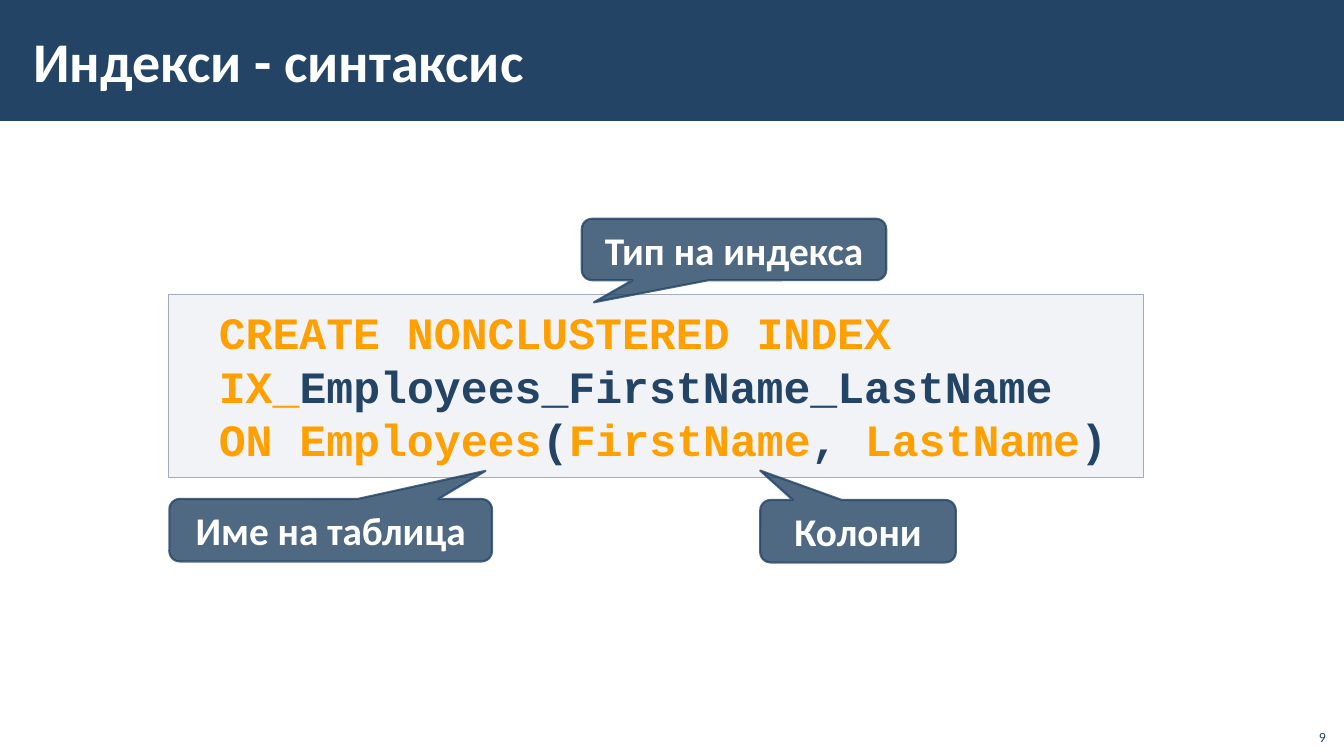
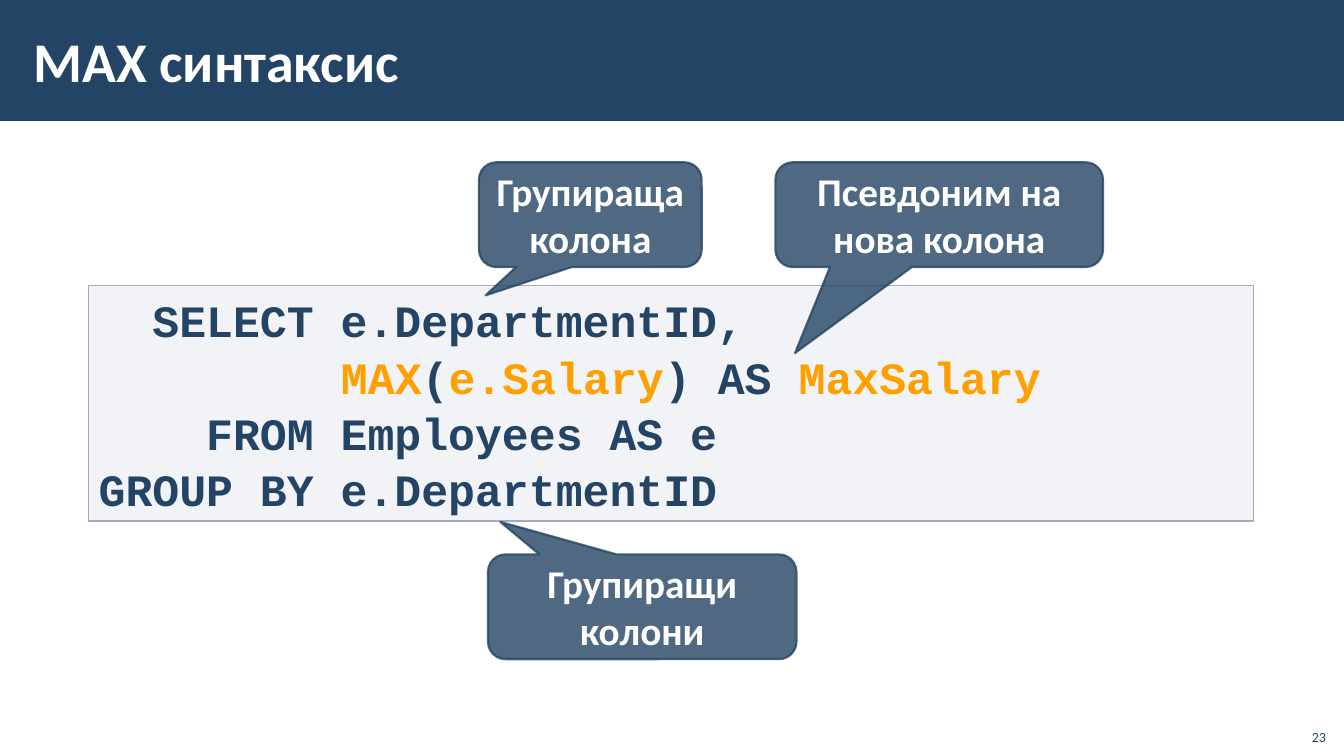
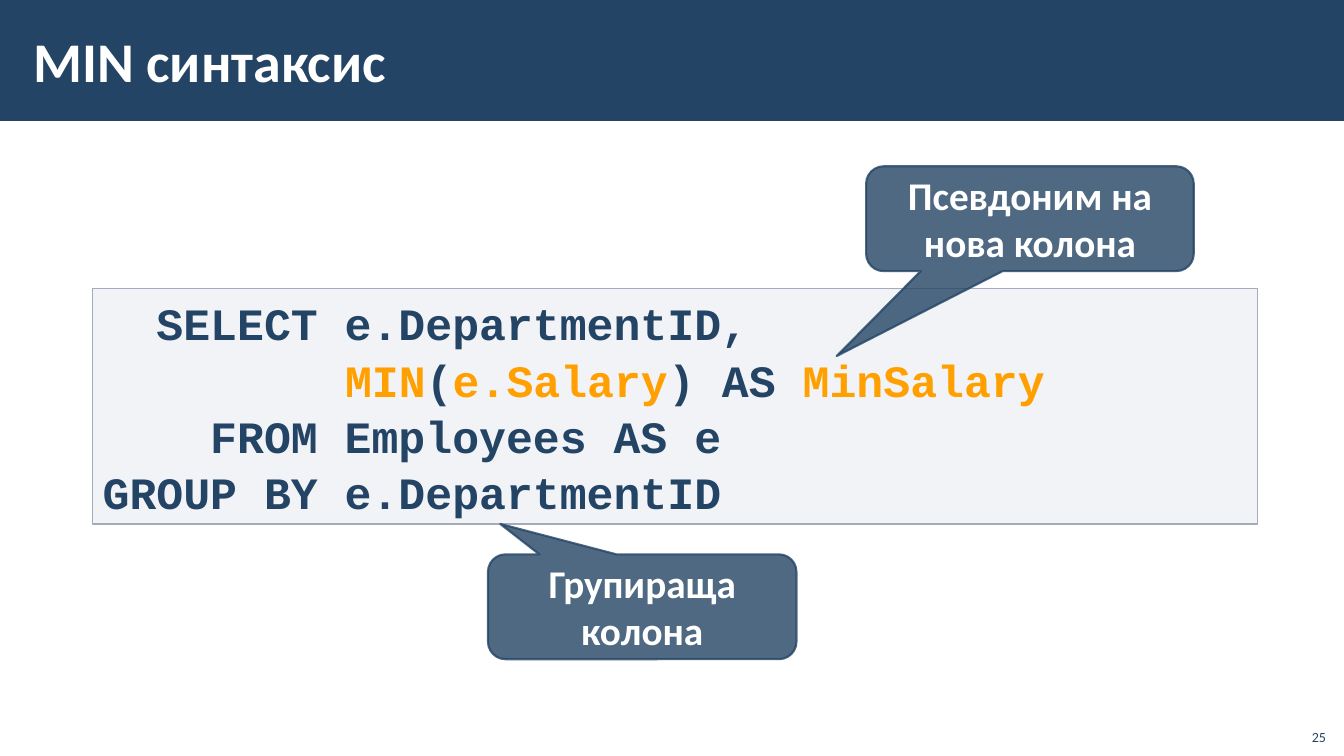
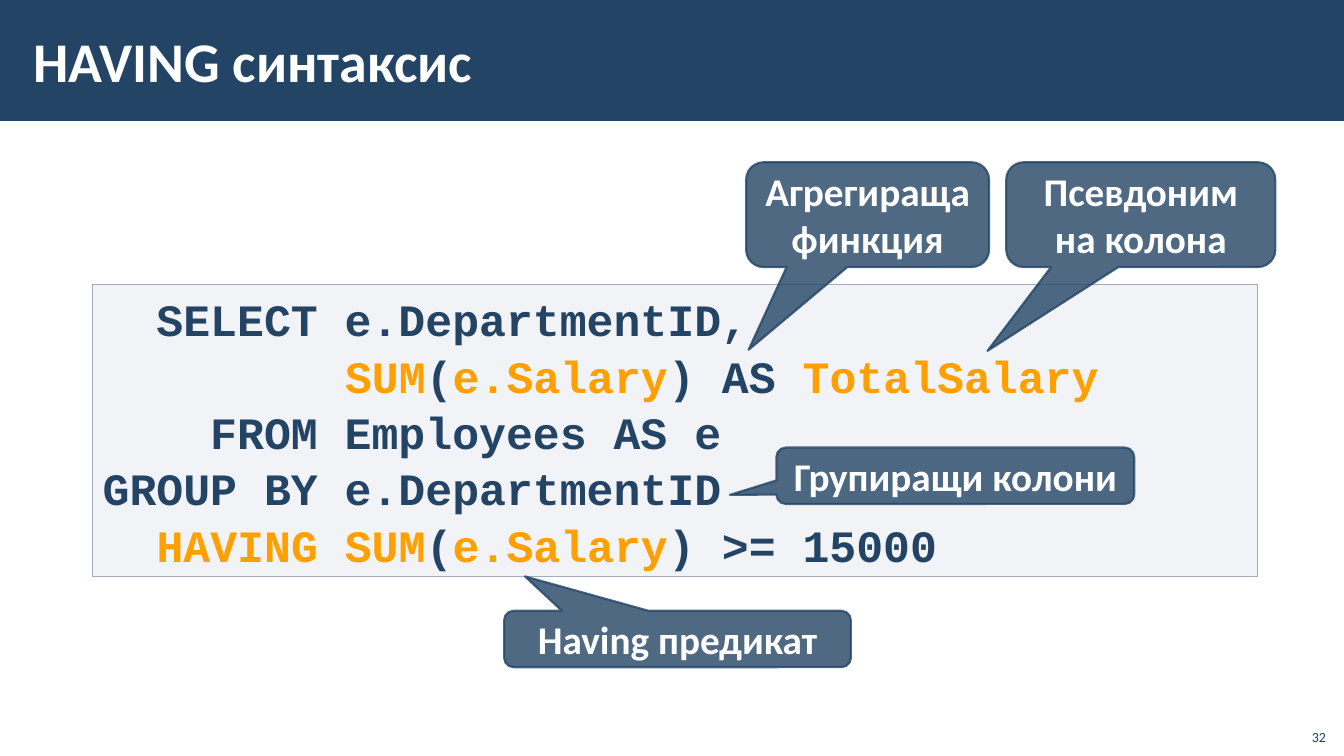
"""Build four slides that explain SQL syntax with annotated code panels."""
from lxml import etree
from pptx import Presentation, util as u
from pptx.dml import color
from pptx.enum import shapes, text
from pptx.oxml import ns

COLORS = {"navy": "234465", "orange": "FFA000", "white": "FFFFFF",
          "panel": "C2C7D2", "edge": "A3ABBC"}
CODE_FONT = {"name": "Courier New", "size": u.Pt(32), "bold": True}
TITLE_FONT = {"name": "Calibri", "size": u.Pt(40), "bold": True}
LABEL_FONT = {"name": "Calibri", "size": u.Pt(28), "bold": True}
NUMBER_FONT = {"name": "Calibri", "size": u.Pt(10), "bold": False}
TITLE_FRAME = {"vertical_anchor": text.MSO_ANCHOR.MIDDLE, "word_wrap": True,
               "auto_size": text.MSO_AUTO_SIZE.NONE,
               "margin_left": u.Inches(0.12), "margin_right": u.Inches(0.12),
               "margin_top": u.Inches(0.04), "margin_bottom": u.Inches(0.04)}
PANEL_FRAME = {"vertical_anchor": text.MSO_ANCHOR.TOP, "word_wrap": True,
               "auto_size": text.MSO_AUTO_SIZE.SHAPE_TO_FIT_TEXT}
INDENTED_FRAME = {"margin_left": 0, "margin_right": 0,
                  "margin_top": u.Inches(0.1), "margin_bottom": u.Inches(0.1)}
LABEL_FRAME = {"vertical_anchor": text.MSO_ANCHOR.MIDDLE, "word_wrap": True}
NUMBER_FRAME = {"vertical_anchor": text.MSO_ANCHOR.BOTTOM, "word_wrap": True}
TITLE_BOX = (0.21, 0.11, 10.63, 0.97)
NUMBER_BOX = (12.85, 7.12, 0.4, 0.32)


def group_query(function, alias):
    """Return the code lines of a grouped query, with stars around highlights."""
    return ["  SELECT e.DepartmentID,",
            f"         *{function}*(*e.Salary*) AS *{alias}*",
            "    FROM Employees AS e",
            "GROUP BY e.DepartmentID"]


PAGES = [
    {"title": "Индекси - синтаксис", "number": "9",
     "panel": (1.67, 2.92, 9.67, 1.82), "indent": 0.5,
     "code": ["*CREATE NONCLUSTERED INDEX IX_*Employees_FirstName_LastName",
              "*ON Employees*(*FirstName*, *LastName*)"],
     "callouts": [
         ("Име на таблица", (1.68, 4.95, 3.2, 0.62), (0.48, -0.95)),
         ("Колони", (7.54, 4.96, 1.94, 0.62), (-0.5, -0.97)),
         ("Тип на индекса", (5.77, 2.17, 3.02, 0.61), (-0.46, 0.86))]},
    {"title": "MAX синтаксис", "number": "23",
     "panel": (0.88, 2.83, 11.55, 2.34),
     "code": group_query("MAX", "MaxSalary"),
     "callouts": [
         ("Групираща колона", (4.75, 1.61, 2.21, 1.04), (-0.47, 0.77)),
         ("Псевдоним на нова колона", (7.69, 1.61, 3.25, 1.04), (-0.44, 1.32)),
         ("Групиращи колони", (4.84, 5.5, 3.06, 1.04), (-0.46, -0.81))]},
    {"title": "MIN синтаксис", "number": "25",
     "panel": (0.92, 2.86, 11.55, 2.34),
     "code": group_query("MIN", "MinSalary"),
     "callouts": [
         ("Групираща колона", (4.84, 5.5, 3.06, 1.04), (-0.46, -0.79)),
         ("Псевдоним на нова колона", (8.59, 1.65, 3.25, 1.04), (-0.59, 1.31))]},
    {"title": "HAVING синтаксис", "number": "32",
     "panel": (0.92, 2.82, 11.55, 2.9),
     "code": group_query("SUM", "TotalSalary")
     + ["  *HAVING SUM*(*e.Salary*) >= 15000"],
     "callouts": [
         ("Агрегираща финкция", (7.4, 1.61, 2.41, 1.04), (-0.49, 1.29)),
         ("Групиращи колони", (7.7, 4.44, 3.55, 0.56), (-0.63, 0.34)),
         ("Псевдоним на колона", (9.98, 1.61, 2.67, 1.04), (-0.57, 1.3)),
         ("Having предикат", (5, 6.06, 3.44, 0.56), (-0.44, -1.11))]},
]


def inches(box):
    """Return a box of numbers as lengths."""
    return [u.Inches(value) for value in box]


def apply(target, formats):
    """Set every format value on the target."""
    for name, value in formats.items():
        setattr(target, name, value)


def paint(fill, name, opacity=100):
    """Fill with a named colour at an opacity in percent."""
    fill.solid()
    fill.fore_color.rgb = color.RGBColor.from_string(COLORS[name])
    if opacity < 100:
        for tone in fill._xPr.iter(ns.qn("a:srgbClr")):
            etree.SubElement(tone, ns.qn("a:alpha"), val=str(opacity * 1000))


def add_span(para, words, font, name):
    """Add a run in the given font and named colour."""
    span = para.add_run()
    span.text = words
    apply(span.font, font)
    span.font.color.rgb = color.RGBColor.from_string(COLORS[name])


def write_line(shape, words, frame, font, name, alignment):
    """Write one formatted paragraph in a shape."""
    apply(shape.text_frame, frame)
    para = shape.text_frame.paragraphs[0]
    para.alignment = alignment
    add_span(para, words, font, name)


def add_filled(page, kind, box, name, opacity=100):
    """Add a preset shape without shadow or outline."""
    shape = page.shapes.add_shape(kind, *inches(box))
    shape.shadow.inherit = False
    paint(shape.fill, name, opacity)
    shape.line.fill.background()
    return shape


def add_code(page, box, lines, indent=None):
    """Add a code panel whose starred parts are highlighted."""
    panel = add_filled(page, shapes.MSO_SHAPE.RECTANGLE, box, "panel", 20)
    paint(panel.line.fill, "edge")
    panel.line.width = u.Pt(1)
    frame = panel.text_frame
    apply(frame, PANEL_FRAME)
    if indent:
        apply(frame, INDENTED_FRAME)
    for index, line in enumerate(lines):
        para = frame.add_paragraph() if index else frame.paragraphs[0]
        para.alignment = text.PP_ALIGN.LEFT
        if indent:
            para._p.get_or_add_pPr().set("marL", str(u.Inches(indent)))
        else:
            para.line_spacing = 1.05
        for part, words in enumerate(line.split("*")):
            if words:
                add_span(para, words, CODE_FONT, "orange" if part % 2 else "navy")


def add_callout(page, label, box, tip):
    """Add a labelled callout with its tip relative to its centre."""
    callout = add_filled(page, shapes.MSO_SHAPE.ROUNDED_RECTANGULAR_CALLOUT,
                         box, "navy", 80)
    paint(callout.line.fill, "navy", 80)
    callout.line.width = u.Pt(1.5)
    callout.adjustments[0], callout.adjustments[1] = tip
    write_line(callout, label, LABEL_FRAME, LABEL_FONT, "white",
               text.PP_ALIGN.CENTER)


def add_title(page, words):
    """Place and write the title."""
    title = page.shapes.title
    title.left, title.top, title.width, title.height = inches(TITLE_BOX)
    write_line(title, words, TITLE_FRAME, TITLE_FONT, "white",
               text.PP_ALIGN.LEFT)


def add_number(page, number):
    """Add the page number at the lower right."""
    box = page.shapes.add_textbox(*inches(NUMBER_BOX))
    write_line(box, number, NUMBER_FRAME, NUMBER_FONT, "navy",
               text.PP_ALIGN.RIGHT)


def share_band(page):
    """Put the title band on the layout behind every page."""
    band = add_filled(page, shapes.MSO_SHAPE.RECTANGLE, (0, 0, 13.33, 1.2), "navy")
    page.slide_layout.shapes.element.insert(2, band.element)


def main():
    """Build and save the deck."""
    deck = Presentation()
    deck.slide_width, deck.slide_height = inches((13.33, 7.5))
    for content in PAGES:
        page = deck.slides.add_slide(deck.slide_layouts[5])
        add_title(page, content["title"])
        add_code(page, content["panel"], content["code"], content.get("indent"))
        for callout in content["callouts"]:
            add_callout(page, *callout)
        add_number(page, content["number"])
    share_band(deck.slides[0])
    deck.save("out.pptx")


if __name__ == "__main__":
    main()
